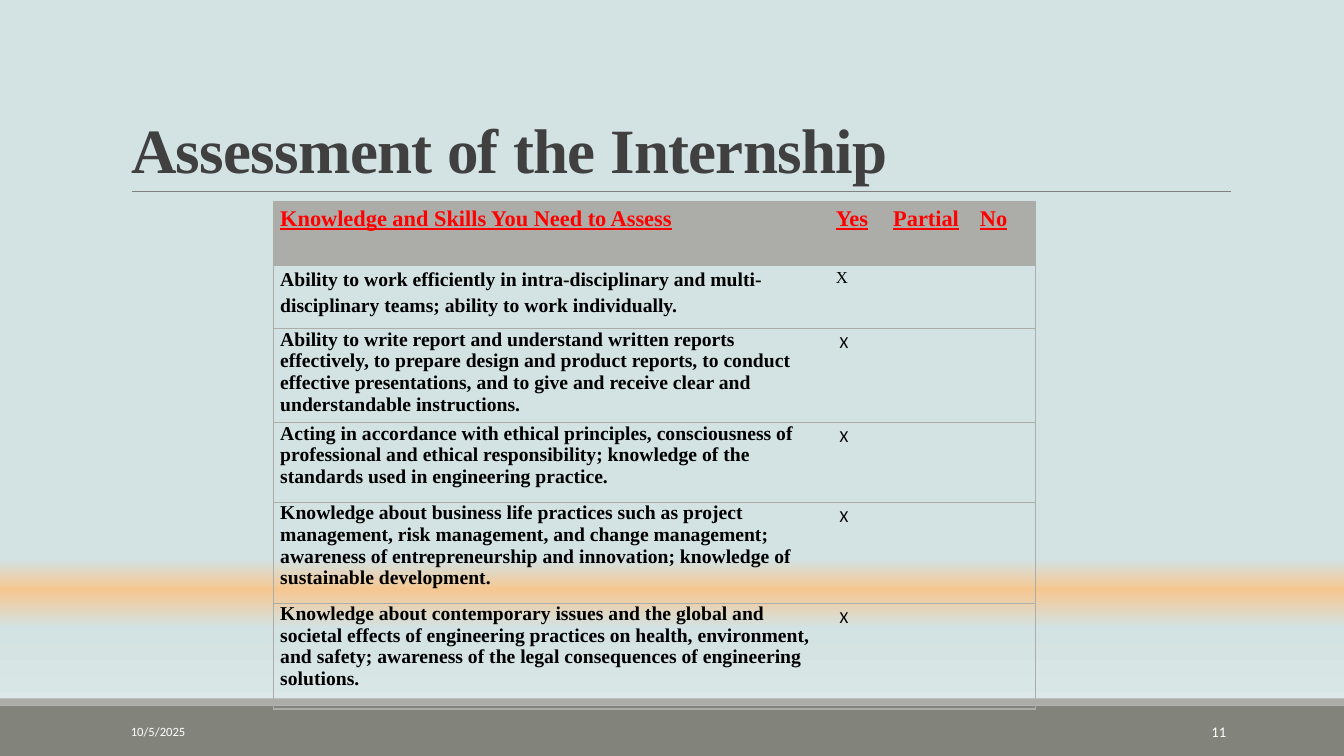
from lxml import etree
from pptx import Presentation
from pptx.dml.color import RGBColor
from pptx.enum.shapes import MSO_CONNECTOR, MSO_SHAPE
from pptx.enum.text import MSO_ANCHOR, PP_ALIGN
from pptx.oxml.ns import qn
from pptx.util import Inches, Pt

LEFT, RIGHT, JUST = PP_ALIGN.LEFT, PP_ALIGN.RIGHT, PP_ALIGN.JUSTIFY
MIDDLE, BOTTOM = MSO_ANCHOR.MIDDLE, MSO_ANCHOR.BOTTOM
RECT, LINE = MSO_SHAPE.RECTANGLE, MSO_CONNECTOR.STRAIGHT
WHITE = RGBColor(0xFF, 0xFF, 0xFF)
BLACK = RGBColor(0, 0, 0)
RED = RGBColor(0xFF, 0, 0)
DARK = RGBColor(0x40, 0x40, 0x40)
RULE = RGBColor(0x80, 0x80, 0x80)
OLIVE = RGBColor(0x82, 0x84, 0x7C)
GREY = RGBColor(0xAC, 0xAD, 0xA8)
MIST = RGBColor(0xD3, 0xE2, 0xE2)
PEACH = RGBColor(0xF6, 0xC7, 0x91)
PALE = RGBColor(0xE2, 0xEC, 0xEC)
SERIF, SANS = "Times New Roman", "Calibri"
WIDTH, HEIGHT = Inches(13.33), Inches(7.5)
MARGIN = Inches(1.2)


def write(frame, text, size, font, color, bold=False, align=LEFT, space=1.0):
    """Fill the first paragraph with one formatted run and return the run."""
    para = frame.paragraphs[0]
    para.alignment, para.line_spacing = align, space
    run = para.add_run()
    run.text = text
    run.font.size, run.font.name, run.font.bold = Pt(size), font, bold
    run.font.color.rgb = color
    return run


def edge(cell, side, color=None):
    """Draw one cell border, or clear it when no colour is given."""
    line = etree.SubElement(cell._tc.get_or_add_tcPr(), qn("a:ln" + side), w=str(Pt(1)))
    if color is None:
        etree.SubElement(line, qn("a:noFill"))
    else:
        fill = etree.SubElement(line, qn("a:solidFill"))
        etree.SubElement(fill, qn("a:srgbClr"), val=str(color))


deck = Presentation()
deck.slide_width, deck.slide_height = WIDTH, HEIGHT
slide = deck.slides.add_slide(deck.slide_layouts[5])
shapes = slide.shapes

# Background
back = slide.background.fill
back.gradient()
back.gradient_angle = 270
stops = slide.element.find(".//" + qn("a:gsLst"))
for stop in list(stops):
    stops.remove(stop)
for share, color in [(74, MIST), (78, PEACH), (83, MIST), (100, PALE)]:
    stop = etree.SubElement(stops, qn("a:gs"), pos=str(share * 1000))
    etree.SubElement(stop, qn("a:srgbClr"), val=str(color))

# Footer bars and title rule
for top, high, color in [(7, 0.5, OLIVE), (6.93, 0.07, GREY)]:
    bar = shapes.add_shape(RECT, 0, Inches(top), WIDTH, Inches(high))
    bar.shadow.inherit = False
    bar.fill.solid()
    bar.fill.fore_color.rgb = color
    bar.line.fill.background()
rule = shapes.add_connector(LINE, Inches(1.31), Inches(1.9), Inches(12.21), Inches(1.9))
rule.line.color.rgb, rule.line.width = RULE, Pt(0.5)
etree.SubElement(rule._element.spPr, qn("a:effectLst"))

# Title
title = shapes.title
title.left, title.top = MARGIN, Inches(0.31)
title.width, title.height = Inches(11), Inches(1.59)
title.text_frame.vertical_anchor = BOTTOM
run = write(title.text_frame, "Assessment of the Internship", 45, SERIF, DARK, True, space=0.85)
run.font._element.set("spc", "-50")

# Date and slide number
for left, wide, text, size, align in [
    (1.2, 2.7, "10/5/2025", 9, LEFT),
    (10.83, 1.43, "11", 10.5, RIGHT),
]:
    box = shapes.add_textbox(Inches(left), Inches(7.06), Inches(wide), Inches(0.4))
    box.text_frame.word_wrap = True
    box.text_frame.vertical_anchor = MIDDLE
    write(box.text_frame, text, size, SANS, WHITE, align=align)

# Assessment table
HEADS = ["Knowledge and Skills You Need to Assess", "Yes", "Partial", "No"]
SKILLS = [
    "Ability to work efficiently in intra-disciplinary and multi-disciplinary teams; "
    "ability to work individually.",
    "Ability to write report and understand written reports effectively, to prepare design "
    "and product reports, to conduct effective presentations, and to give and receive clear "
    "and understandable instructions.",
    "Acting in accordance with ethical principles, consciousness of professional and ethical "
    "responsibility; knowledge of the standards used in engineering practice.",
    "Knowledge about business life practices such as project management, risk management, "
    "and change management; awareness of entrepreneurship and innovation; knowledge of "
    "sustainable development.",
    "Knowledge about contemporary issues and the global and societal effects of engineering "
    "practices on health, environment, and safety; awareness of the legal consequences of "
    "engineering solutions.",
]
COLS = [5.51, 0.57, 0.86, 0.62]
ROWS = [0.63, 0.63, 0.86, 0.79, 1, 1.05]
grid = shapes.add_table(len(ROWS), len(COLS), Inches(2.71), Inches(2),
                        Inches(sum(COLS)), Inches(sum(ROWS))).table
grid.first_row = grid.horz_banding = False
for col, wide in zip(grid.columns, COLS):
    col.width = Inches(wide)
for row, high in zip(grid.rows, ROWS):
    row.height = Inches(high)

for r in range(len(ROWS)):
    for c in range(len(COLS)):
        cell = grid.cell(r, c)
        cell.margin_left = cell.margin_right = Inches(0.07)
        cell.margin_top = cell.margin_bottom = 0
        edge(cell, "L", GREY if c == 0 else None)
        edge(cell, "R", GREY if c == len(COLS) - 1 else None)
        edge(cell, "T", GREY)
        edge(cell, "B", GREY)
        if r == 0:
            cell.fill.solid()
            cell.fill.fore_color.rgb = GREY
            run = write(cell.text_frame, HEADS[c], 16, SERIF, RED, True, JUST, 1.2)
            run.font.underline = True
            continue
        cell.fill.background()
        if c == 0:
            space = 1.2 if r == 1 else 1.0
            write(cell.text_frame, SKILLS[r - 1], 14, SERIF, BLACK, True, space=space)
        elif c == 1:
            mark, font = ("X", SERIF) if r == 1 else (" X", SANS)
            write(cell.text_frame, mark, 12, font, BLACK, align=JUST, space=1.2)

deck.save("out.pptx")
